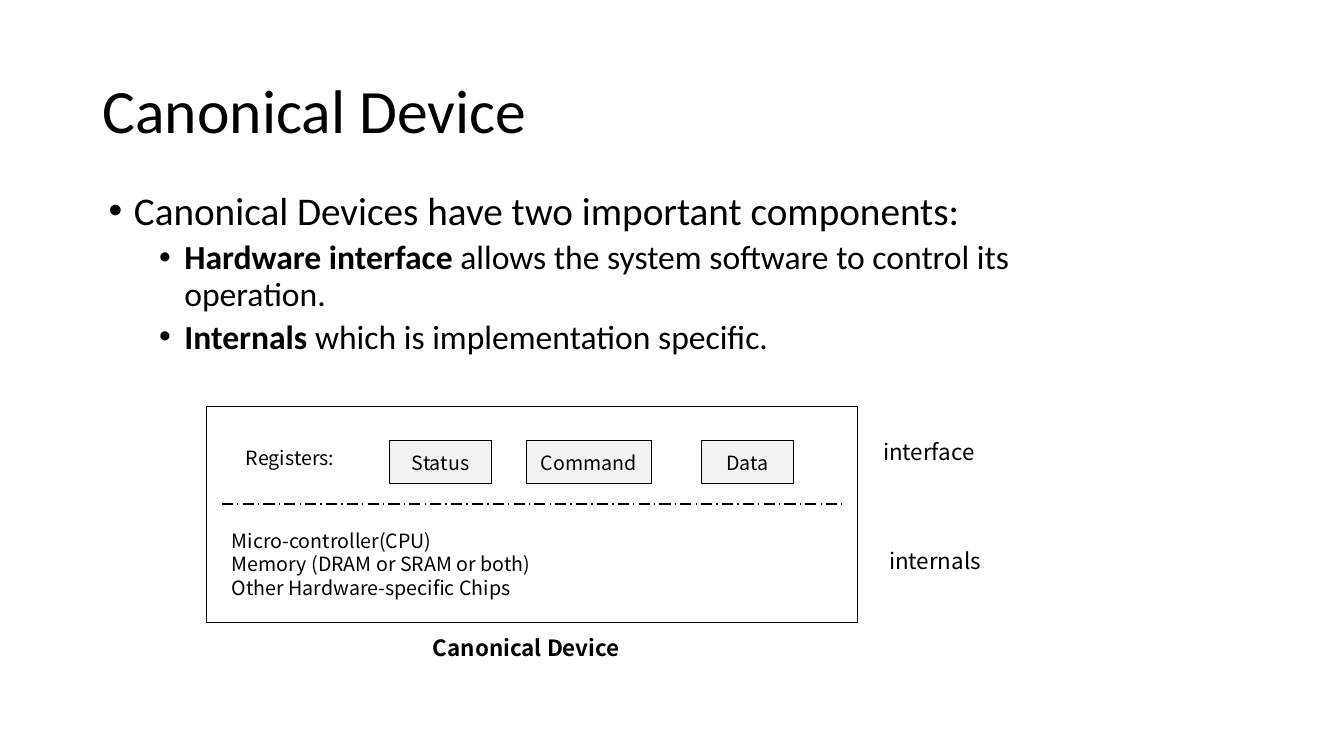
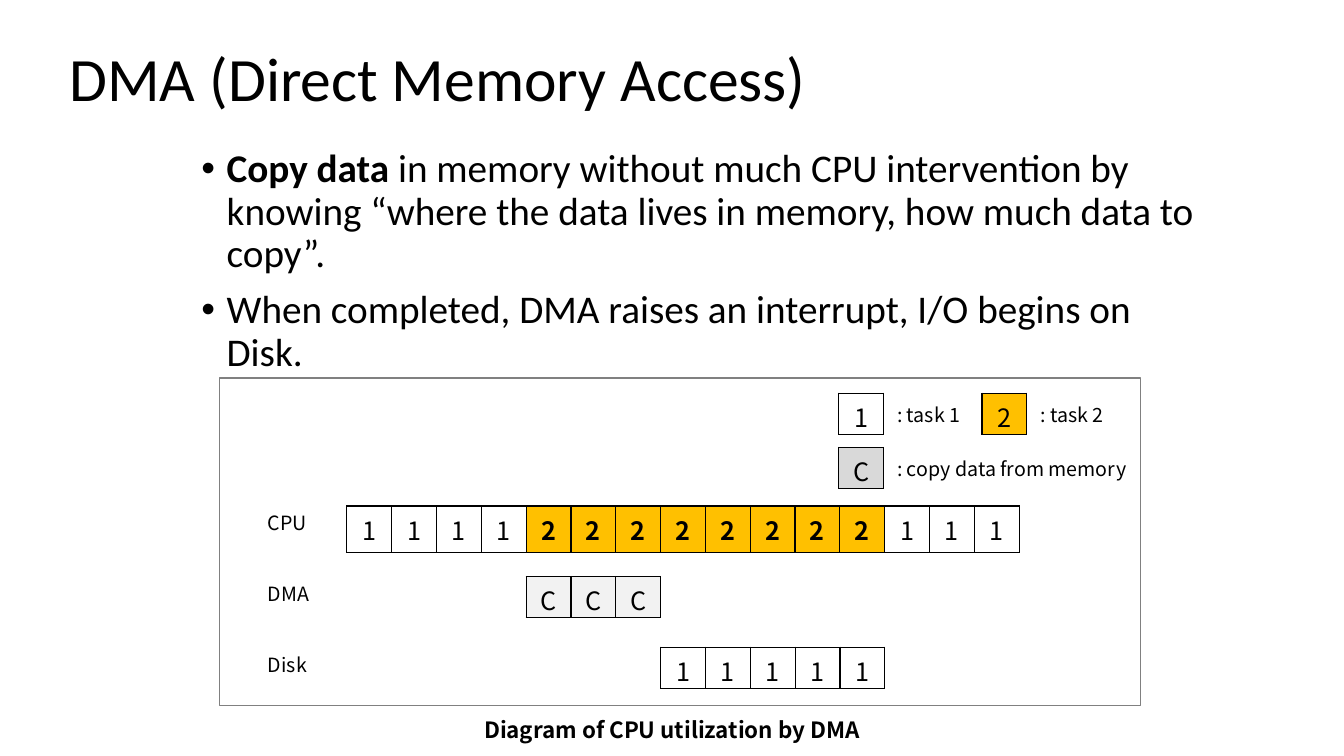
import pptx
import pptx.dml.color
import pptx.enum.dml
import pptx.enum.shapes
import pptx.enum.text
import pptx.oxml.ns
import pptx.util
from lxml import etree

Inches = pptx.util.Inches
Pt = pptx.util.Pt
ALIGN = pptx.enum.text.PP_ALIGN
ANCHOR = pptx.enum.text.MSO_ANCHOR

BLACK, GREY, PALE, SILVER, GOLD = "000000", "808080", "F2F2F2", "D9D9D9", "FFC000"
TEXT_FONT, LABEL_FONT = "Calibri", "Noto Sans CJK KR"
LABEL_LEADING = 1.22
SLOT = 0.4447
ROW_HEIGHT = 0.41
TASK_FILLS = {"1": None, "2": GOLD}


def paint(target, hex_colour):
    """Give a fill one colour, or none."""
    if hex_colour is None:
        target.background()
    else:
        target.solid()
        target.fore_color.rgb = pptx.dml.color.RGBColor.from_string(hex_colour)


def write(para, text, size, font=LABEL_FONT, bold=False, align=ALIGN.LEFT,
          leading=None, before=0):
    """Write a string, or a list of (string, bold) spans, into a paragraph."""
    para.alignment = align
    para.space_before = Pt(before)
    if leading is not None:
        para.line_spacing = leading
    spans = [(text, bold)] if isinstance(text, str) else text
    for words, is_bold in spans:
        span = para.add_run()
        span.text = words
        span.font.name = font
        span.font.size = Pt(size)
        span.font.bold = is_bold
        paint(span.font.fill, BLACK)
        latin = span.font._element.find(pptx.oxml.ns.qn("a:latin"))
        east_asian = etree.Element(pptx.oxml.ns.qn("a:ea"), typeface=font)
        latin.addnext(east_asian)


def add_box(page, left, top, width, height, anchor=ANCHOR.TOP):
    box = page.shapes.add_textbox(Inches(left), Inches(top), Inches(width), Inches(height))
    box.text_frame.word_wrap = True
    box.text_frame.vertical_anchor = anchor
    return box.text_frame


def add_paras(frame, count):
    return [frame.paragraphs[0]] + [frame.add_paragraph() for _ in range(count - 1)]


def add_label(page, left, top, width, lines, size=14, **style):
    lines = [lines] if isinstance(lines, str) else lines
    leading = Pt(LABEL_LEADING * size)
    frame = add_box(page, left, top, width, 0.1 + len(lines) * leading.inches)
    for para, line in zip(add_paras(frame, len(lines)), lines):
        write(para, line, size, leading=leading, **style)


def add_title(page, left, top, text):
    frame = add_box(page, left, top, 11.5, 1.45, ANCHOR.MIDDLE)
    write(frame.paragraphs[0], text, 44, font=TEXT_FONT, leading=0.9)


def add_bullets(page, left, top, width, items):
    """Items are (level, text) pairs."""
    frame = add_box(page, left, top, width, 4.6)
    for para, (level, text) in zip(add_paras(frame, len(items)), items):
        write(para, text, 28 - 4 * level, font=TEXT_FONT, leading=0.9, before=10 - 5 * level)
        para.level = level
        props = para._p.get_or_add_pPr()
        props.set("marL", str(Inches(0.25 + 0.5 * level)))
        props.set("indent", str(-Inches(0.25)))
        etree.SubElement(props, pptx.oxml.ns.qn("a:buFont"), typeface="Arial")
        etree.SubElement(props, pptx.oxml.ns.qn("a:buChar"), char="•")


def add_rect(page, left, top, width, height, fill=None, line=BLACK):
    rect = page.shapes.add_shape(pptx.enum.shapes.MSO_SHAPE.RECTANGLE, Inches(left),
                                 Inches(top), Inches(width), Inches(height))
    rect.shadow.inherit = False
    paint(rect.fill, fill)
    paint(rect.line.fill, line)
    rect.line.width = Pt(0.75)
    return rect


def add_divider(page, left, top, width):
    line = page.shapes.add_connector(pptx.enum.shapes.MSO_CONNECTOR.STRAIGHT, Inches(left),
                                     Inches(top), Inches(left + width), Inches(top))
    paint(line.line.fill, BLACK)
    line.line.width = Pt(1)
    line.line.dash_style = pptx.enum.dml.MSO_LINE.LONG_DASH_DOT
    etree.SubElement(line._element.spPr, pptx.oxml.ns.qn("a:effectLst"))


def add_borders(cell):
    props = cell._tc.get_or_add_tcPr()
    for position, side in enumerate(("lnL", "lnR", "lnT", "lnB")):
        edge = etree.Element(pptx.oxml.ns.qn("a:" + side), w=str(Pt(1)))
        solid = etree.SubElement(edge, pptx.oxml.ns.qn("a:solidFill"))
        etree.SubElement(solid, pptx.oxml.ns.qn("a:srgbClr"), val=BLACK)
        props.insert(position, edge)


def add_slots(page, left, top, marks, fills, height=ROW_HEIGHT, bold_marks=""):
    """One-row table with a time slot for each mark."""
    frame = page.shapes.add_table(1, len(marks), Inches(left), Inches(top),
                                  Inches(SLOT * len(marks)), Inches(height))
    table = frame.table
    table.first_row = table.horz_banding = False
    for column, cell, mark in zip(table.columns, table.rows[0].cells, marks):
        column.width = Inches(SLOT)
        cell.margin_bottom = Inches(height - ROW_HEIGHT)
        paint(cell.fill, fills[mark])
        add_borders(cell)
        write(cell.text_frame.paragraphs[0], mark, 18, bold=mark in bold_marks,
              align=ALIGN.CENTER)


def draw_device(page, left, top):
    """Device frame with its registers above and its internals below."""
    add_rect(page, left, top, 6.46, 2.15)
    add_label(page, left + 0.29, top + 0.34, 1.6, "Registers:")
    for offset, width, name in ((1.81, 1.02, "Status"), (3.17, 1.24, "Command"),
                                (4.91, 0.91, "Data")):
        register = add_rect(page, left + offset, top + 0.34, width, 0.43, fill=PALE)
        frame = register.text_frame
        frame.margin_left = frame.margin_right = 0
        frame.vertical_anchor = ANCHOR.MIDDLE
        write(frame.paragraphs[0], name, 14, align=ALIGN.CENTER,
              leading=Pt(LABEL_LEADING * 14))
    add_divider(page, left + 0.15, top + 0.97, 6.15)
    add_label(page, left + 0.15, top + 1.16, 4.25,
              ["Micro-controller(CPU)", "Memory (DRAM or SRAM or both)",
               "Other Hardware-specific Chips"])
    # Captions beside and below the frame
    add_label(page, left + 6.61, top + 0.26, 1.6, "interface", size=16)
    add_label(page, left + 6.67, top + 1.34, 1.6, "internals", size=16)
    add_label(page, left + 1.86, top + 2.21, 2.62, "Canonical Device", size=16,
              bold=True, align=ALIGN.CENTER)


def draw_legend(page, left, top):
    for across, down, mark, fill, width, meaning in (
            (0, 0, "1", None, 1.34, ": task 1"),
            (1.42, 0, "2", GOLD, 0.87, ": task 2"),
            (0, 0.54, "C", SILVER, 2.66, ": copy data from memory")):
        add_slots(page, left + across, top + down, mark, {mark: fill})
        add_label(page, left + across + 0.48, top + down + 0.04, width, meaning)


def draw_timeline(page, left, top):
    """Framed chart of which unit is busy in each time slot."""
    add_rect(page, left, top, 9.13, 3.25, line=GREY)
    draw_legend(page, left + 6.14, top + 0.15)
    rows = (
        ("CPU", 0, "111122222222111", TASK_FILLS, 0.46),
        ("DMA", 4, "CCC", {"C": PALE}, ROW_HEIGHT),
        ("Disk", 7, "11111", TASK_FILLS, ROW_HEIGHT),
    )
    for index, (unit, start, marks, fills, height) in enumerate(rows):
        row_top = top + 1.27 + 0.7 * index
        add_label(page, left + 0.38, row_top, 0.8, unit)
        add_slots(page, left + 1.26 + SLOT * start, row_top, marks, fills, height,
                  bold_marks="2")
    add_label(page, left + 1.81, top + 3.3, 5.35, "Diagram of CPU utilization by DMA",
              size=16, bold=True, align=ALIGN.CENTER)


def build_device_slide(page):
    add_title(page, 0.92, 0.4, "Canonical Device")
    add_bullets(page, 0.98, 1.85, 9.61, [
        (0, "Canonical Devices have two important components:"),
        (1, [("Hardware interface", True),
             (" allows the system software to control its operation.", False)]),
        (1, [("Internals", True), (" which is implementation specific.", False)]),
    ])
    draw_device(page, 2.05, 4.03)


def build_dma_slide(page):
    add_title(page, 0.59, 0.08, "DMA (Direct Memory Access)")
    add_bullets(page, 1.9, 1.43, 10.19, [
        (0, [("Copy data ", True),
             ("in memory without much CPU intervention by knowing “where the data lives "
              "in memory, how much data to copy”.", False)]),
        (0, "When completed, DMA raises an interrupt, I/O begins on Disk."),
    ])
    draw_timeline(page, 2.18, 3.75)


def main():
    deck = pptx.Presentation()
    deck.slide_width, deck.slide_height = Inches(13.33), Inches(7.5)
    for build in (build_device_slide, build_dma_slide):
        build(deck.slides.add_slide(deck.slide_layouts[6]))
    deck.save("out.pptx")


if __name__ == "__main__":
    main()
